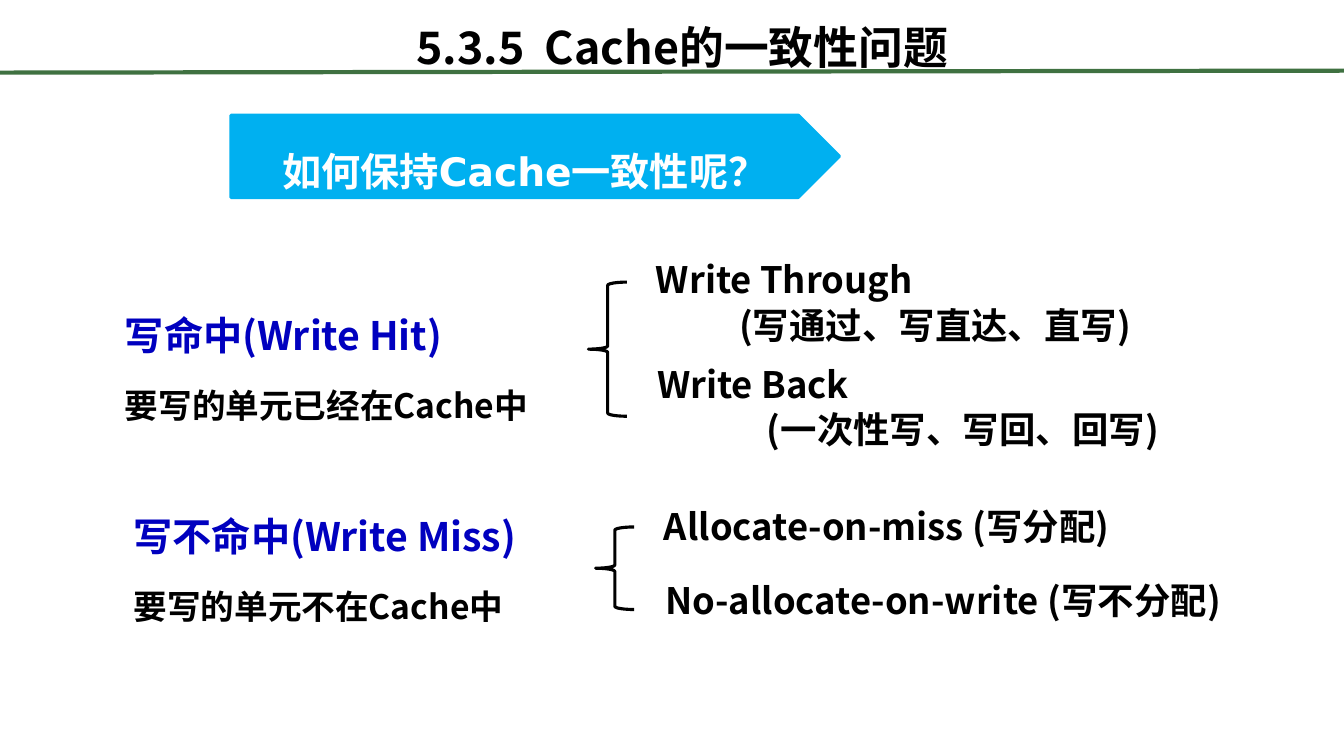
from dataclasses import dataclass

from pptx import Presentation
from pptx.dml.color import RGBColor
from pptx.enum.shapes import MSO_CONNECTOR, MSO_SHAPE
from pptx.enum.text import MSO_ANCHOR, PP_ALIGN
from pptx.oxml.ns import qn
from pptx.util import Cm, Pt


@dataclass(frozen=True)
class Theme:
    font: str = "Noto Sans CJK SC"
    banner_font: str = "DejaVu Sans"
    black: str = "000000"
    white: str = "FFFFFF"
    heading: str = "0000BF"
    banner: str = "00B0F0"
    rule: str = "3F7141"
    title_size: int = 32
    heading_size: int = 28
    method_size: int = 26
    note_size: int = 24


class SlideBuilder:
    def __init__(self, presentation, theme):
        self.theme = theme
        self.slide = presentation.slides.add_slide(presentation.slide_layouts[5])

    def format_paragraph(self, paragraph, size, color, font=None):
        name = font or self.theme.font
        for run in paragraph.runs:
            run.font.name = name
            run.font.size = Pt(size)
            run.font.bold = True
            run.font.color.rgb = RGBColor.from_string(color)
            properties = run.font._element
            east_asian = properties.makeelement(qn("a:ea"), {"typeface": name})
            properties.find(qn("a:latin")).addnext(east_asian)

    def add_rule(self, left, start_top, right, end_top):
        rule = self.slide.shapes.add_connector(
            MSO_CONNECTOR.STRAIGHT, Cm(left), Cm(start_top), Cm(right), Cm(end_top))
        rule.line.color.rgb = RGBColor.from_string(self.theme.rule)
        rule.line.width = Pt(3)
        properties = rule._element.spPr
        properties.append(properties.makeelement(qn("a:effectLst"), {}))

    def add_title(self, text, left, top, width, height):
        title = self.slide.shapes.title
        title.left, title.top = Cm(left), Cm(top)
        title.width, title.height = Cm(width), Cm(height)
        title.text_frame.text = text
        title.text_frame.vertical_anchor = MSO_ANCHOR.MIDDLE
        paragraph = title.text_frame.paragraphs[0]
        paragraph.alignment = PP_ALIGN.CENTER
        self.format_paragraph(paragraph, self.theme.title_size, self.theme.black)

    def add_outline_shape(self, kind, left, top, width, height, color, line_width):
        shape = self.slide.shapes.add_shape(kind, Cm(left), Cm(top), Cm(width), Cm(height))
        shape.shadow.inherit = False
        shape.fill.background()
        shape.line.color.rgb = RGBColor.from_string(color)
        shape.line.width = Pt(line_width)
        return shape

    def add_banner(self, text, left, top, width, height):
        color = self.theme.banner
        banner = self.add_outline_shape(
            MSO_SHAPE.PENTAGON, left, top, width, height, color, 2)
        banner.fill.solid()
        banner.fill.fore_color.rgb = RGBColor.from_string(color)
        banner.text_frame.text = text
        banner.text_frame.vertical_anchor = MSO_ANCHOR.MIDDLE
        paragraph = banner.text_frame.paragraphs[0]
        paragraph.alignment = PP_ALIGN.CENTER
        paragraph.line_spacing = 1.6
        self.format_paragraph(
            paragraph, self.theme.heading_size, self.theme.white, self.theme.banner_font)

    def add_brace(self, left, top, height):
        self.add_outline_shape(
            MSO_SHAPE.LEFT_BRACE, left, top, 0.97, height, self.theme.black, 2.25)

    def add_text(self, lines, left, top, width, height, line_spacing=1.0, indent=0):
        box = self.slide.shapes.add_textbox(Cm(left), Cm(top), Cm(width), Cm(height))
        frame = box.text_frame
        frame.word_wrap = True
        frame.text = "\n".join(text for text, size, color in lines)
        for index, (text, size, color) in enumerate(lines):
            paragraph = frame.paragraphs[index]
            paragraph.line_spacing = line_spacing
            if index:
                paragraph.space_before = Pt(1.5)
                if indent:
                    properties = paragraph._p.get_or_add_pPr()
                    properties.set("marL", str(Cm(indent)))
                    properties.set("indent", "0")
            self.format_paragraph(paragraph, size, color)

    def add_case(self, heading, note, left, top):
        theme = self.theme
        lines = [(heading, theme.heading_size, theme.heading),
                 (note, theme.note_size, theme.black)]
        self.add_text(lines, left, top, 13.03, 3.66, line_spacing=1.6)

    def add_method(self, texts, left, top, width, indent=0):
        lines = [(text, self.theme.method_size, self.theme.black) for text in texts]
        self.add_text(lines, left, top, width, 1.3 * len(texts), indent=indent)


def main():
    presentation = Presentation()
    presentation.slide_width = Cm(33.87)
    presentation.slide_height = Cm(19.05)
    builder = SlideBuilder(presentation, Theme())

    builder.add_rule(0, 1.83, 33.87, 1.78)
    builder.add_title("5.3.5  Cache的一致性问题", 4.19, 0.23, 26.01, 1.88)
    builder.add_banner("如何保持Cache一致性呢？", 5.82, 2.9, 15.34, 2.08)

    builder.add_case("写命中(Write Hit)", "要写的单元已经在Cache中", 2.9, 7.01)
    builder.add_brace(14.83, 7.11, 3.38)
    builder.add_method(["Write Through", "(写通过、写直达、直写)"], 16.28, 6.35, 16.84, 2.1)
    builder.add_method(["Write Back", "(一次性写、写回、回写)"], 16.31, 8.99, 14.33, 2.77)

    builder.add_case("写不命中(Write Miss)", "要写的单元不在Cache中", 3.12, 12.07)
    builder.add_brace(15.01, 13.28, 2.08)
    builder.add_method(["Allocate-on-miss (写分配)"], 16.48, 12.57, 14.33)
    builder.add_method(["No-allocate-on-write (写不分配)"], 16.51, 14.45, 15.49)

    presentation.save("out.pptx")


if __name__ == "__main__":
    main()
